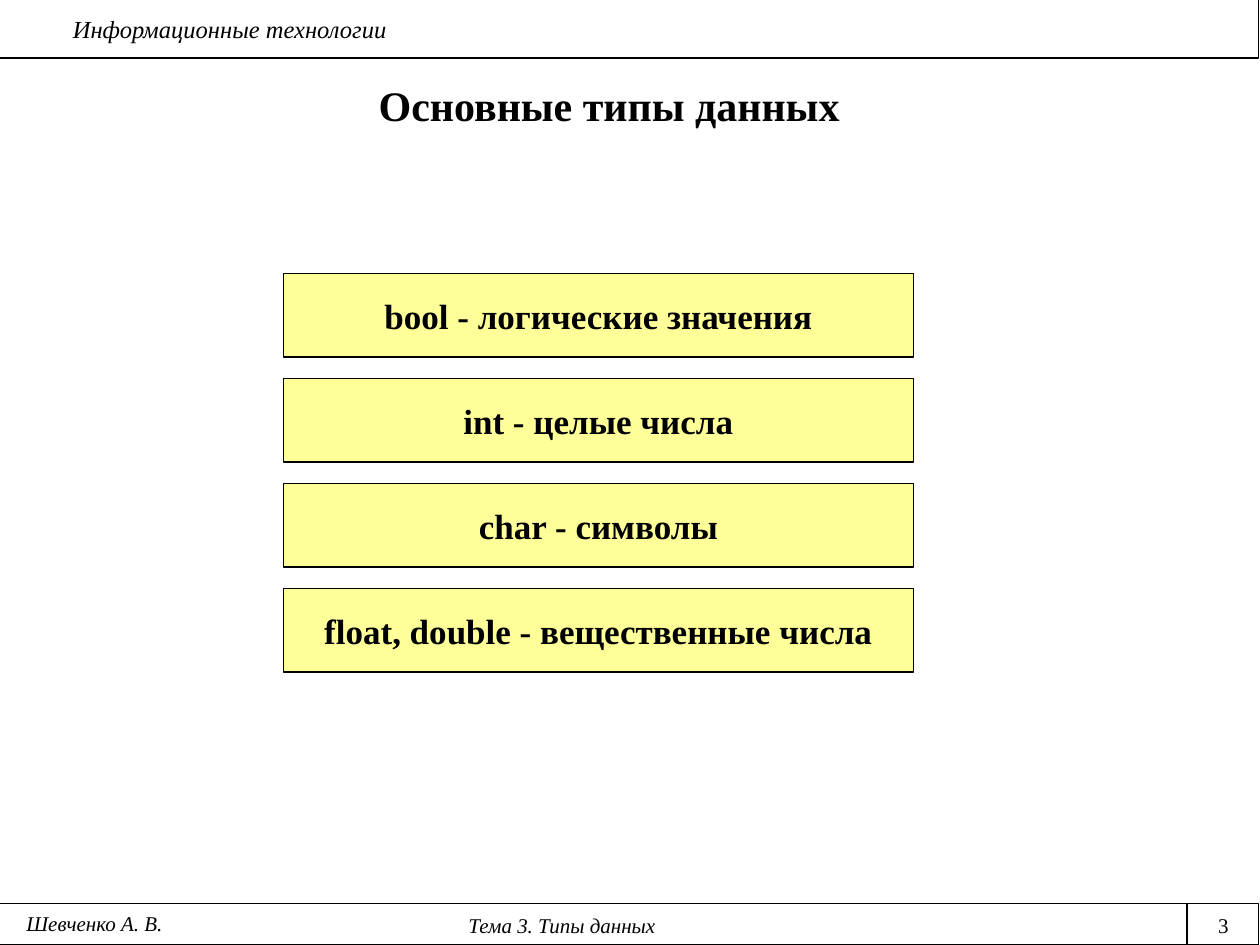
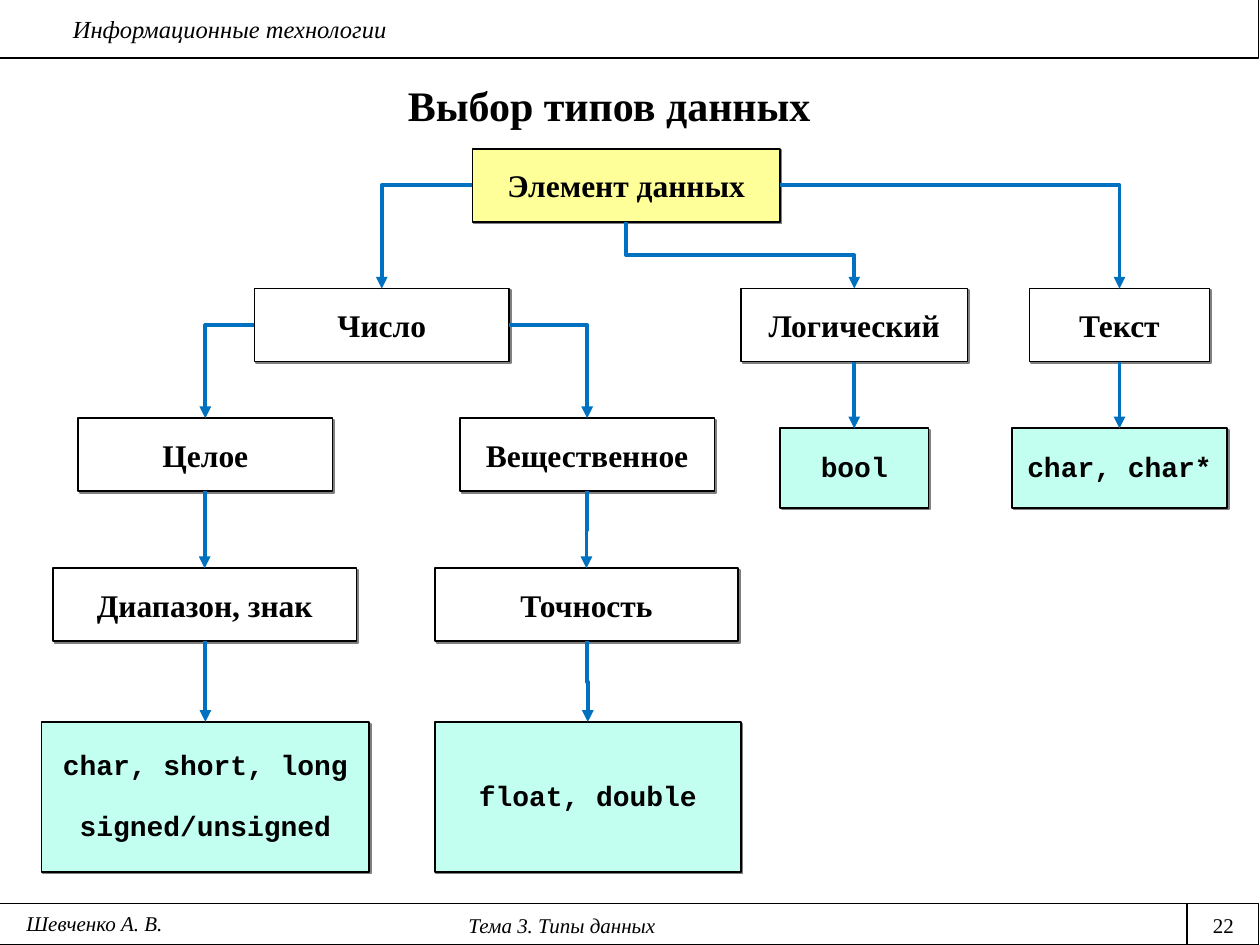
"""Build two slides on data types: a list of basic types and a tree for choosing one."""
import pptx
import pptx.dml.color
import pptx.enum.shapes
import pptx.enum.text
import pptx.oxml
import pptx.oxml.ns
import pptx.util
import lxml.etree

Inches = pptx.util.Inches
Pt = pptx.util.Pt
ALIGN = pptx.enum.text.PP_ALIGN
ANCHOR = pptx.enum.text.MSO_ANCHOR
CONNECTOR = pptx.enum.shapes.MSO_CONNECTOR

COLORS = {"ink": "000000", "paper": "FFFFFF", "yellow": "FFFF99",
          "mint": "C2FFF0", "arrow": "0070C0", "shadow": "808080"}
SERIF, MONO = "Times New Roman", "Courier New"

COURSE = "Информационные технологии"
TOPIC = "Тема 3. Типы данных"
AUTHOR = "Шевченко А. В."

BANDS = [(-0.01, 7.17, 10, 0.33), (-0.01, -0.01, 10, 0.47)]
PAGE_LEFT = 9.42

STYLES = {
    "course": {"size": 14, "italic": True, "align": ALIGN.LEFT},
    "footer": {"size": 12, "italic": True, "before": 7.5},
    "page": {"size": 12, "before": 7.5},
    "title": {"size": 24, "bold": True},
    "type": {"size": 20, "bold": True},
    "node": {"size": 18, "bold": True},
    "code": {"size": 16, "bold": True, "name": MONO, "spacing": 0.9, "gap": 18},
}

BASIC_TYPES = ["bool - логические значения", "int - целые числа",
               "char - символы", "float, double - вещественные числа"]

NODES = {
    "element": (["Элемент данных"], "yellow", "node", (3.75, 1.18, 2.44, 0.58)),
    "number": (["Число"], "paper", "node", (2.02, 2.29, 2.02, 0.58)),
    "logical": (["Логический"], "paper", "node", (5.88, 2.29, 1.8, 0.58)),
    "text": (["Текст"], "paper", "node", (8.17, 2.29, 1.43, 0.58)),
    "integer": (["Целое"], "paper", "node", (0.62, 3.32, 2.02, 0.58)),
    "real": (["Вещественное"], "paper", "node", (3.65, 3.32, 2.02, 0.58)),
    "bool": (["bool"], "mint", "code", (6.19, 3.4, 1.18, 0.63)),
    "chars": (["char, char*"], "mint", "code", (8.03, 3.4, 1.71, 0.63)),
    "range": (["Диапазон, знак"], "paper", "node", (0.42, 4.51, 2.41, 0.58)),
    "precision": (["Точность"], "paper", "node", (3.45, 4.51, 2.41, 0.58)),
    "integers": (["char, short, long", "signed/unsigned"], "mint", "code",
                 (0.33, 5.73, 2.6, 1.19)),
    "floats": (["float, double"], "mint", "code", (3.45, 5.73, 2.43, 1.19)),
}

LINKS = [("element", "left", "number"), ("element", "bottom", "logical"),
         ("element", "right", "text"), ("number", "left", "integer"),
         ("number", "right", "real"), ("logical", "bottom", "bool"),
         ("text", "bottom", "chars"), ("integer", "bottom", "range"),
         ("real", "bottom", "precision"), ("range", "bottom", "integers"),
         ("precision", "bottom", "floats")]


def color(name):
    return pptx.dml.color.RGBColor.from_string(COLORS[name])


def add_child(parent, tag, **attributes):
    child = lxml.etree.SubElement(parent, pptx.oxml.ns.qn(tag))
    for name, value in attributes.items():
        child.set(name, str(value))
    return child


def write_text(shape, lines, style_name, anchor=ANCHOR.MIDDLE):
    style = STYLES[style_name]
    frame = shape.text_frame
    frame.word_wrap = True
    frame.vertical_anchor = anchor
    for index, line in enumerate(lines):
        paragraph = frame.paragraphs[0] if index == 0 else frame.add_paragraph()
        before = style.get("gap" if index else "before", 0)
        layout = {"alignment": style.get("align", ALIGN.CENTER),
                  "space_before": Pt(before), "line_spacing": style.get("spacing", 1.0)}
        for name, value in layout.items():
            setattr(paragraph, name, value)
        run = paragraph.add_run()
        run.text = line
        font = {"name": style.get("name", SERIF), "size": Pt(style["size"]),
                "bold": style.get("bold", False), "italic": style.get("italic", False)}
        for name, value in font.items():
            setattr(run.font, name, value)
        run.font.color.rgb = color("ink")


def add_label(slide, text, style_name, place, anchor=ANCHOR.TOP):
    box = slide.shapes.add_textbox(*map(Inches, place))
    write_text(box, [text], style_name, anchor)


def add_box(slide, place, fill, line_width=1):
    box = slide.shapes.add_shape(pptx.enum.shapes.MSO_SHAPE.RECTANGLE, *map(Inches, place))
    box.shadow.inherit = False
    box.fill.solid()
    box.fill.fore_color.rgb = color(fill)
    box.line.color.rgb = color("ink")
    box.line.width = Pt(line_width)
    return box


def add_line(slide, kind, start, end, line_color, width):
    line = slide.shapes.add_connector(kind, *map(Inches, start + end))
    line.line.color.rgb = color(line_color)
    line.line.width = Pt(width)
    add_child(line._element.spPr, "a:effectLst")
    return line


def add_shadow(box):
    effects = box._element.spPr.find(pptx.oxml.ns.qn("a:effectLst"))
    shadow = add_child(effects, "a:outerShdw", dist=Pt(1.4), dir=2700000,
                       algn="ctr", rotWithShape=0)
    add_child(shadow, "a:srgbClr", val=COLORS["shadow"])


def add_link(slide, source, side, target):
    left, top, width, height = NODES[source][3]
    target_left, target_top, target_width, _ = NODES[target][3]
    start = {"left": (left, top + height / 2),
             "right": (left + width, top + height / 2),
             "bottom": (left + width / 2, top + height)}[side]
    end = (target_left + target_width / 2, target_top)
    turned = side == "bottom"
    if turned:
        run, drop = end[0] - start[0], end[1] - start[1]
        middle_x, middle_y = start[0] + run / 2, start[1] + drop / 2
        start = (middle_x - drop / 2, middle_y + run / 2)
        end = (middle_x + drop / 2, middle_y - run / 2)
    link = add_line(slide, CONNECTOR.ELBOW, start, end, "arrow", 2.25)
    properties = link._element.spPr
    if turned:
        properties.find(pptx.oxml.ns.qn("a:xfrm")).set("rot", "5400000")
    else:
        properties.find(pptx.oxml.ns.qn("a:prstGeom")).set("prst", "bentConnector2")
    add_child(properties.find(pptx.oxml.ns.qn("a:ln")), "a:tailEnd", type="triangle")


def add_slide(presentation, title, page):
    slide = presentation.slides.add_slide(presentation.slide_layouts[6])
    for place in BANDS:
        add_box(slide, place, "paper", 0.75)
    add_label(slide, COURSE, "course", (0.48, 0.06, 9.42, 0.34))
    add_label(slide, TOPIC, "footer", (0, 7.19, 8.92, 0.3))
    add_label(slide, page, "page", (PAGE_LEFT, 7.19, 0.58, 0.3))
    add_line(slide, CONNECTOR.STRAIGHT, (PAGE_LEFT, 7.17), (PAGE_LEFT, 7.5), "ink", 0.75)
    add_label(slide, AUTHOR, "footer", (0, 7.18, 1.5, 0.3))
    add_label(slide, title, "title", (0.25, 0.58, 9.17, 0.5), ANCHOR.MIDDLE)
    return slide


def build_type_list(presentation):
    slide = add_slide(presentation, "Основные типы данных", "3")
    height, pitch = 2 / 3, 5 / 6
    for index, text in enumerate(BASIC_TYPES):
        box = add_box(slide, (2.25, 2.17 + index * pitch, 5, height), "yellow")
        write_text(box, [text], "type")


def build_type_tree(presentation):
    slide = add_slide(presentation, "Выбор типов данных", "22")
    for lines, fill, style_name, place in NODES.values():
        box = add_box(slide, place, fill)
        add_shadow(box)
        write_text(box, lines, style_name)
    for link in LINKS:
        add_link(slide, *link)


presentation = pptx.Presentation()
presentation.slide_width = Inches(10)
presentation.slide_height = Inches(7.5)
build_type_list(presentation)
build_type_tree(presentation)
presentation.save("out.pptx")
